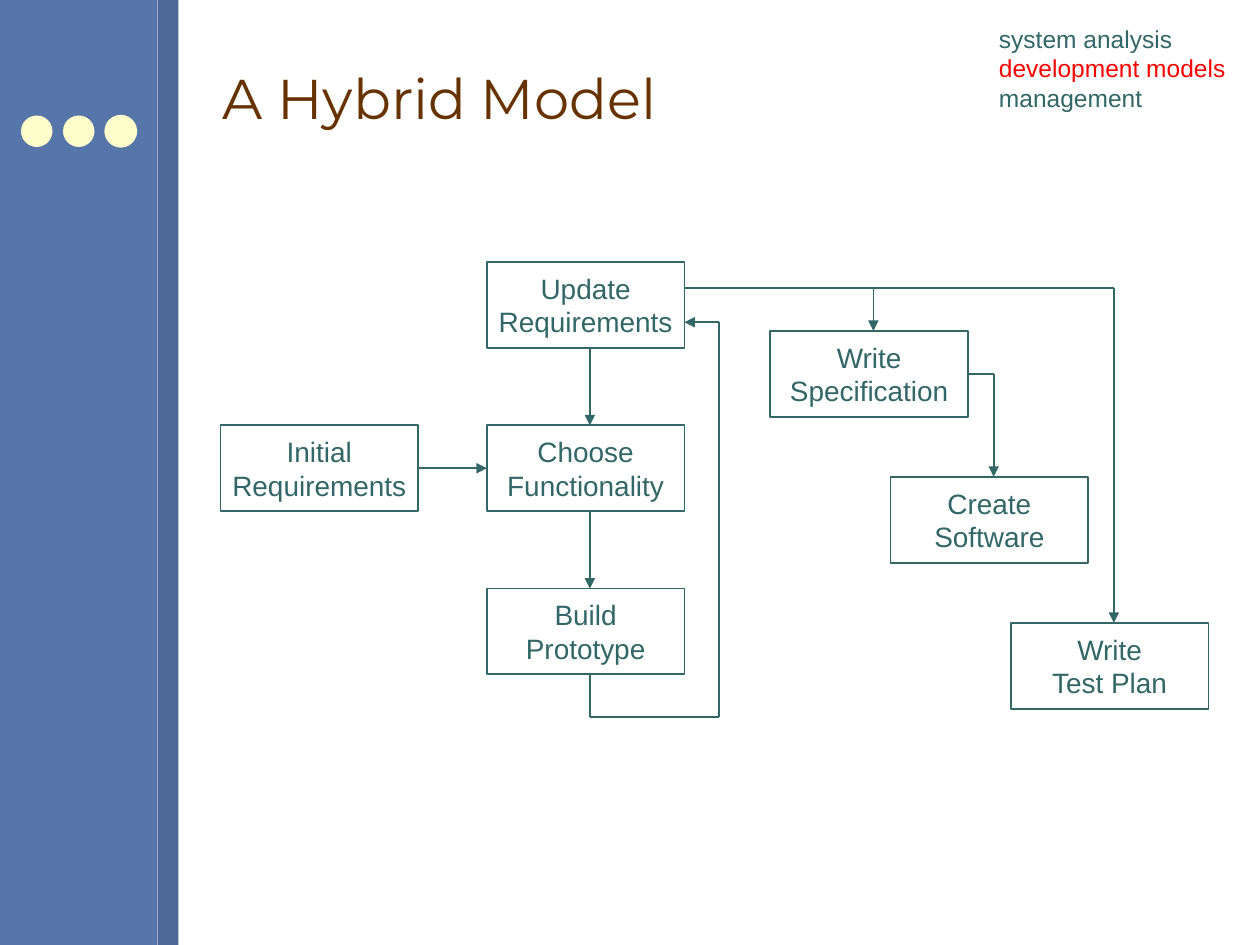
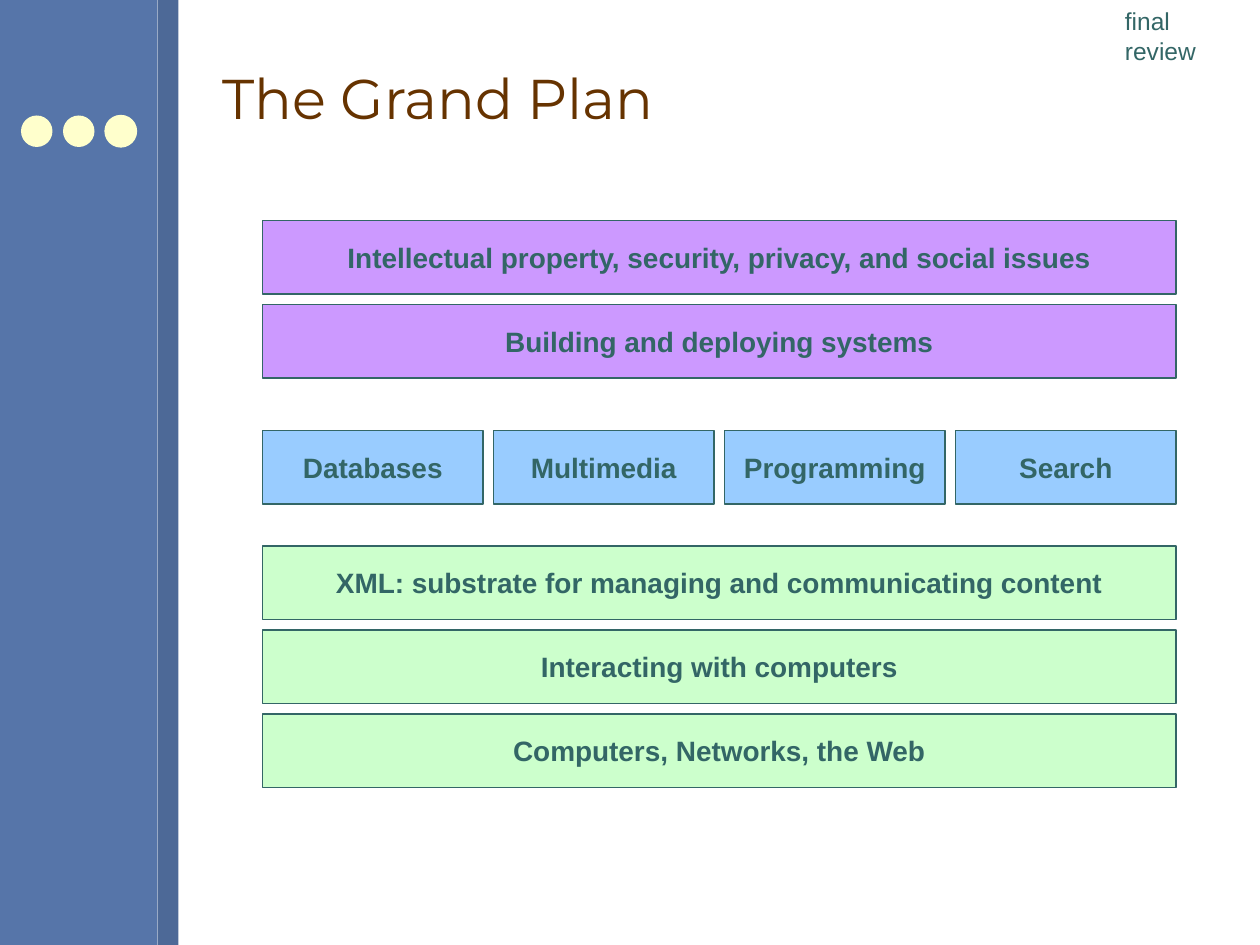
from pptx import Presentation
from pptx.dml.color import RGBColor
from pptx.enum.shapes import MSO_CONNECTOR as Connector, MSO_SHAPE as Shape
from pptx.enum.text import MSO_ANCHOR as Anchor, PP_ALIGN as Align
from pptx.oxml.ns import qn
from pptx.util import Inches, Pt
from lxml.etree import SubElement

BLUE, DARK_BLUE, CREAM = "5675A9", "4D6997", "FFFFCC"
TEAL, BROWN, RED = "336666", "663300", "FF0000"
PURPLE, SKY, GREEN = "CC99FF", "99CCFF", "CCFFCC"
paint = RGBColor.from_string

CELL = 1 / 12  # slide grid: 120 columns by 90 rows
STEP = 3 / 44  # finer grid of the flow chart
FLOW_LEFT, FLOW_TOP = 1.75, 2.08
BOX_WIDTH, BOX_HEIGHT = 23, 10


def add_box(page, kind, left, top, width, height, fill=None, line=None, weight=1):
    """Add a preset shape, measured in inches."""
    box = page.shapes.add_shape(kind, *map(Inches, (left, top, width, height)))
    box.shadow.inherit = False
    if fill:
        box.fill.solid()
        box.fill.fore_color.rgb = paint(fill)
    else:
        box.fill.background()
    if line:
        box.line.color.rgb = paint(line)
        box.line.width = Pt(weight)
    else:
        box.line.fill.background()
    return box


def write(box, lines, align=Align.CENTER, anchor=Anchor.MIDDLE, wrap=False, **font):
    """Write (text, colour) pairs, one paragraph each."""
    frame = box.text_frame
    frame.word_wrap = wrap
    frame.vertical_anchor = anchor
    looks = {"name": "Arial", "size": Pt(16), "bold": False} | font
    for index, (text, colour) in enumerate(lines):
        para = frame.add_paragraph() if index else frame.paragraphs[0]
        para.alignment = align
        span = para.add_run()
        span.text = text
        span.font.color.rgb = paint(colour)
        for name, value in looks.items():
            setattr(span.font, name, value)


deck = Presentation()
deck.slide_width, deck.slide_height = Inches(120 * CELL), Inches(90 * CELL)

# Shared frame: side bands, dots, title and corner note
slides = [
    ("A Hybrid Model", (7.83, 0.14, 2, 0.8),
     [("system analysis", TEAL), ("development models", RED), ("management", TEAL)]),
    ("The Grand Plan", (8.83, 0, 1.17, 0.34), [("final review", TEAL)]),
]
pages = []
for title, note_area, note in slides:
    page = deck.slides.add_slide(deck.slide_layouts[6])
    pages.append(page)
    for column, columns, colour in [(0, 15, BLUE), (15, 2, DARK_BLUE)]:
        add_box(page, Shape.RECTANGLE, column * CELL, 0, columns * CELL, 90 * CELL, colour)
    for column, outline in [(2, None), (6, None), (10, CREAM)]:
        add_box(page, Shape.OVAL, column * CELL, 11 * CELL, 3 * CELL, 3 * CELL,
                CREAM, outline, 0.75)
    title_area = [cells * CELL for cells in (20, 2.5, 96, 13.5)]
    title_box = page.shapes.add_textbox(*map(Inches, title_area))
    write(title_box, [(title, BROWN)], Align.LEFT, wrap=True, name="Montserrat", size=Pt(32))
    note_box = page.shapes.add_textbox(*map(Inches, note_area))
    write(note_box, note, Align.LEFT, Anchor.TOP, size=Pt(14))

flow_page, plan_page = pages

# Flow chart boxes: column, row, two lines of text
activities = [
    (31, 0, "Update", "Requirements"),
    (31, 19, "Choose", "Functionality"),
    (31, 38, "Build", "Prototype"),
    (0, 19, "Initial", "Requirements"),
    (64, 8, "Write", "Specification"),
    (78, 25, "Create", "Software"),
    (92, 42, "Write", "Test Plan"),
]
for column, row, *words in activities:
    box = add_box(flow_page, Shape.RECTANGLE, FLOW_LEFT + column * STEP, FLOW_TOP + row * STEP,
                  BOX_WIDTH * STEP, BOX_HEIGHT * STEP, line=TEAL)
    write(box, [(word, TEAL) for word in words])

# Flow chart routes: corner points, with an arrowhead at the last one
routes = [
    [(43, 10), (43, 19)],
    [(43, 29), (43, 38)],
    [(23, 24), (31, 24)],
    [(43, 48), (43, 53), (58, 53), (58, 7), (54, 7)],
    [(54, 3), (104, 3), (104, 42)],
    [(76, 3), (76, 8)],
    [(87, 13), (90, 13), (90, 25)],
]
for route in routes:
    for start, end in zip(route, route[1:]):
        ends = [Inches(origin + cells * STEP) for point in (start, end)
                for origin, cells in zip((FLOW_LEFT, FLOW_TOP), point)]
        link = flow_page.shapes.add_connector(Connector.STRAIGHT, *ends)
        link.line.color.rgb = paint(TEAL)
        link.line.width = Pt(1)
        if end == route[-1]:
            SubElement(link.line._get_or_add_ln(), qn("a:tailEnd"), type="triangle")
        SubElement(link._element.spPr, qn("a:effectLst"))

# Plan layers: row, colour, and labels that share the full width
layers = [
    (68, GREEN, ["Computers, Networks, the Web"]),
    (60, GREEN, ["Interacting with computers"]),
    (52, GREEN, ["XML: substrate for managing and communicating content"]),
    (41, SKY, ["Databases", "Multimedia", "Programming", "Search"]),
    (29, PURPLE, ["Building and deploying systems"]),
    (21, PURPLE, ["Intellectual property, security, privacy, and social issues"]),
]
PLAN_LEFT, PLAN_WIDTH, GAP = 25, 87, 1
for row, colour, labels in layers:
    pitch = (PLAN_WIDTH + GAP) / len(labels)
    for index, label in enumerate(labels):
        box = add_box(plan_page, Shape.RECTANGLE, (PLAN_LEFT + index * pitch) * CELL, row * CELL,
                      (pitch - GAP) * CELL, 7 * CELL, colour, TEAL, 0.75)
        write(box, [(label, TEAL)], bold=True)

deck.save("out.pptx")
